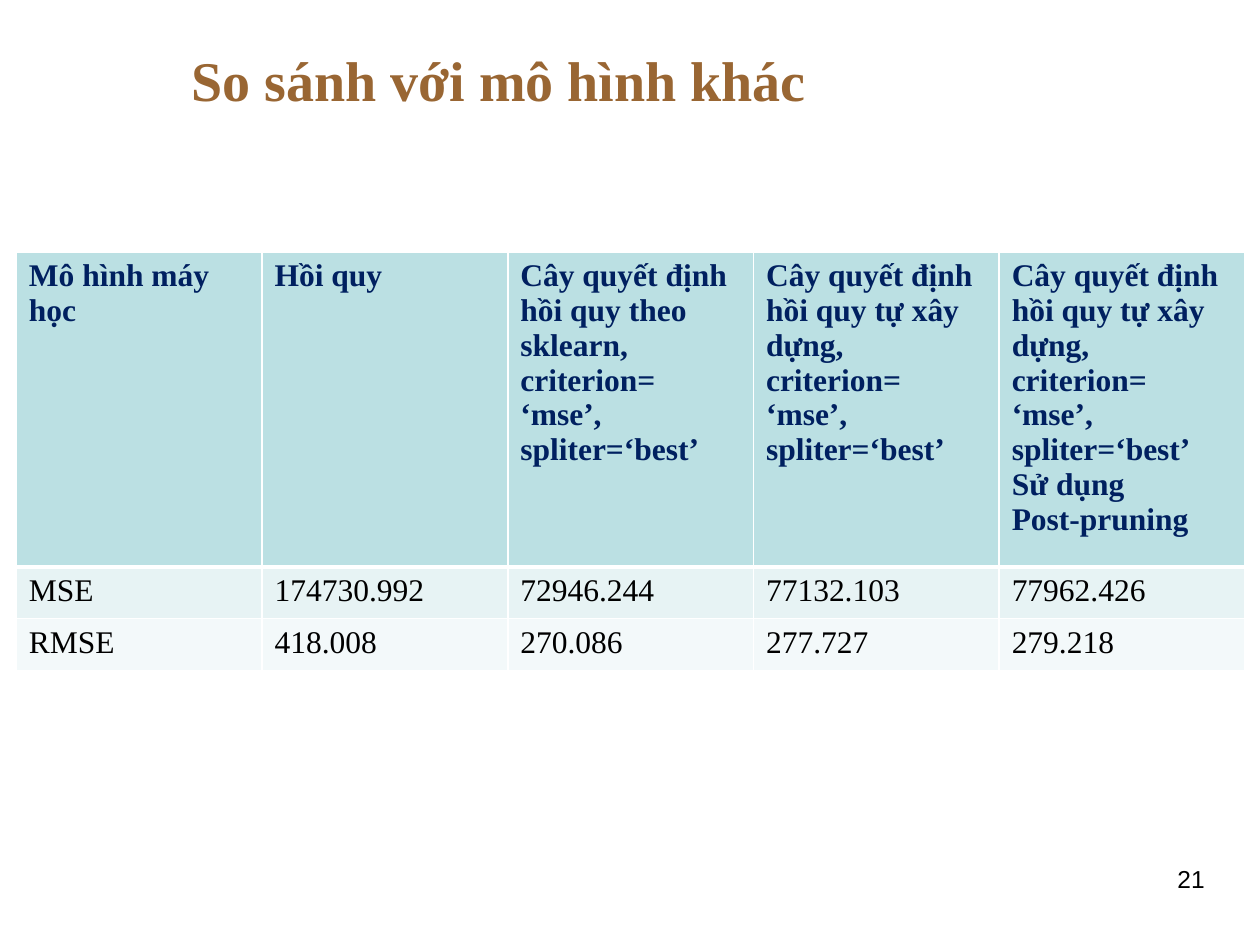
from dataclasses import dataclass

from lxml import etree
from pptx import Presentation
from pptx.dml.color import RGBColor
from pptx.enum import text
from pptx.oxml.ns import qn
from pptx.util import Inches, Pt


@dataclass(frozen=True)
class Theme:
    serif: str = "Times New Roman"
    sans: str = "Arial"
    title_color: str = "996633"
    header_color: str = "002060"
    body_color: str = "000000"
    border_color: str = "FFFFFF"
    row_fills: tuple = ("BBE0E3", "E7F3F4", "F3F9FA")
    title_size: int = 32
    table_size: int = 18
    number_size: int = 14


THEME = Theme()

TREE = "Cây quyết định hồi quy {}, criterion=\n‘mse’,\nspliter=‘best’"
OWN_TREE = TREE.format("tự xây dựng")
RESULTS = [
    ["Mô hình máy học", "Hồi quy", TREE.format("theo sklearn"), OWN_TREE,
     OWN_TREE + "\nSử dụng\nPost-pruning"],
    ["MSE", "174730.992", "72946.244", "77132.103", "77962.426"],
    ["RMSE", "418.008", "270.086", "277.727", "279.218"],
]
COLUMN_WIDTH = 1.95
ROW_HEIGHTS = [2.31, 0.41, 0.41]


def style_text(frame, font, size, color, bold=False):
    for paragraph in frame.paragraphs:
        for run in paragraph.runs:
            run.font.name = font
            run.font.size = Pt(size)
            run.font.bold = bold
            run.font.color.rgb = RGBColor.from_string(color)


def add_label(slide, label, left, top, width, height):
    frame = slide.shapes.add_textbox(
        Inches(left), Inches(top), Inches(width), Inches(height)).text_frame
    frame.word_wrap = True
    frame.text = label
    return frame


def set_borders(cell, bottom_width):
    """Draw all four edges of a cell; they must precede its fill in the XML."""
    properties = cell._tc.get_or_add_tcPr()
    widths = {"a:lnL": 1, "a:lnR": 1, "a:lnT": 1, "a:lnB": bottom_width}
    for position, (edge, width) in enumerate(widths.items()):
        line = etree.Element(qn(edge), w=str(Pt(width)))
        fill = etree.SubElement(line, qn("a:solidFill"))
        etree.SubElement(fill, qn("a:srgbClr"), val=THEME.border_color)
        properties.insert(position, line)


def add_results_table(slide):
    columns = len(RESULTS[0])
    table = slide.shapes.add_table(
        len(RESULTS), columns, Inches(0.13), Inches(2),
        Inches(COLUMN_WIDTH * columns), Inches(sum(ROW_HEIGHTS))).table
    for column in table.columns:
        column.width = Inches(COLUMN_WIDTH)
    for r, values in enumerate(RESULTS):
        table.rows[r].height = Inches(ROW_HEIGHTS[r])
        is_header = r == 0
        color = THEME.header_color if is_header else THEME.body_color
        for c, value in enumerate(values):
            cell = table.cell(r, c)
            cell.text_frame.text = value
            style_text(cell.text_frame, THEME.serif, THEME.table_size, color, is_header)
            cell.fill.solid()
            cell.fill.fore_color.rgb = RGBColor.from_string(THEME.row_fills[r])
            set_borders(cell, 3 if is_header else 1)
            if r == 1:
                cell._tc.tcPr.find(qn("a:lnT")).set("w", str(Pt(3)))


def main():
    deck = Presentation()
    deck.slide_width, deck.slide_height = Inches(10), Inches(7.5)
    slide = deck.slides.add_slide(deck.slide_layouts[6])

    title = add_label(slide, "So sánh với mô hình khác", 1.42, 0.18, 7.75, 0.89)
    title.vertical_anchor = text.MSO_ANCHOR.MIDDLE
    style_text(title, THEME.serif, THEME.title_size, THEME.title_color, bold=True)

    add_results_table(slide)

    number = add_label(slide, "21", 7.33, 6.81, 2.33, 0.61)
    number.paragraphs[0].alignment = text.PP_ALIGN.RIGHT
    style_text(number, THEME.sans, THEME.number_size, THEME.body_color)

    deck.save("out.pptx")


if __name__ == "__main__":
    main()
